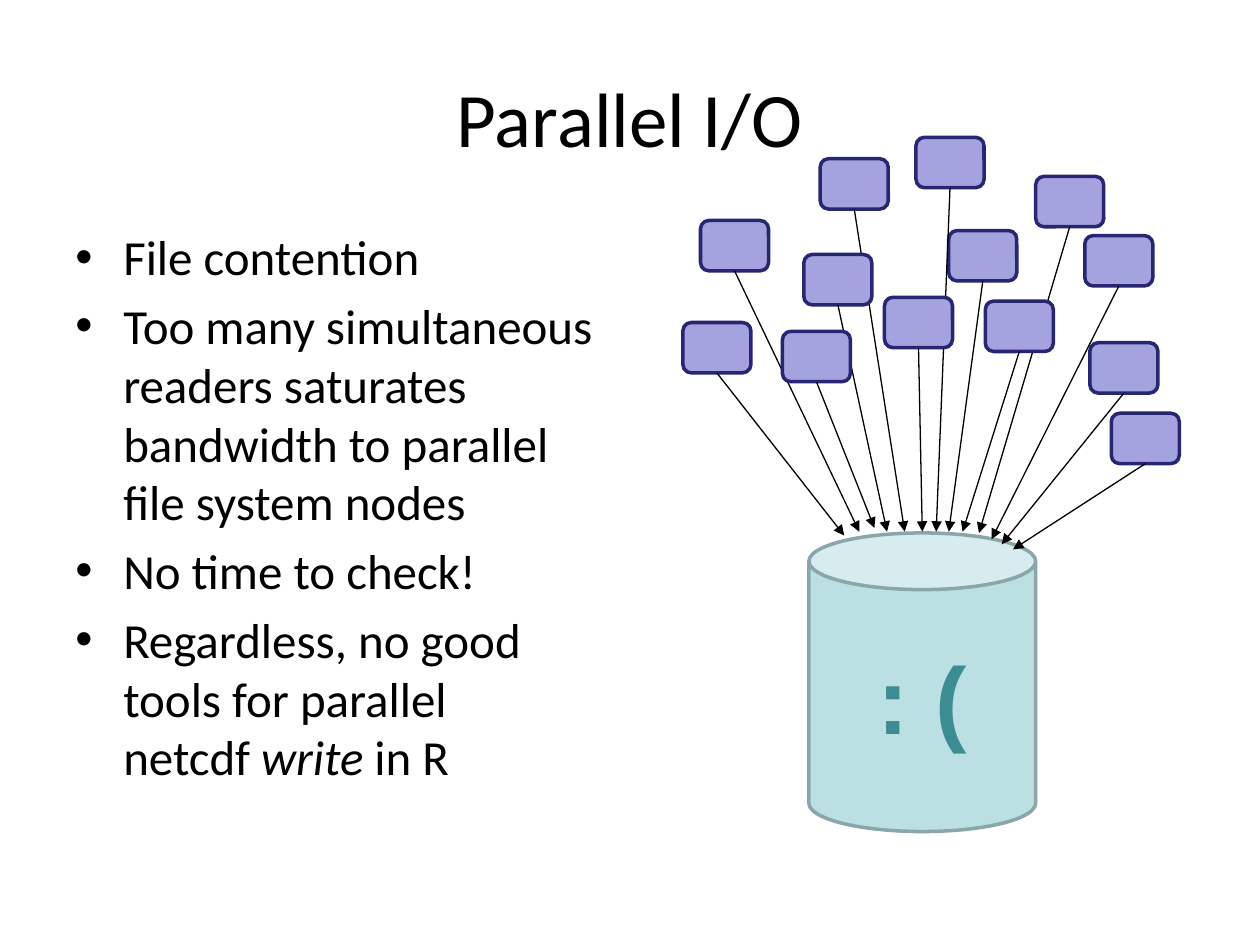
"""Build the Parallel I/O slide: bullets beside many readers crowding one file."""
from lxml import etree
from pptx import Presentation
from pptx import util as u
from pptx.dml.color import RGBColor
from pptx.enum import shapes, text
from pptx.oxml.ns import qn

PX = 9144
COLORS = {"ink": "000000", "node": "A3A3E0", "node_edge": "262673",
          "disk": "BBE0E3", "disk_edge": "8AA6A8", "face": "3C8C93"}
NODE_W, NODE_H = 54, 40


def add_span(para, words, size=28, font="Calibri", color="ink", bold=False, italic=False):
    span = para.add_run()
    span.text = words
    span.font.size = u.Pt(size)
    span.font.name = font
    span.font.bold = bold
    span.font.italic = italic
    span.font.color.rgb = RGBColor.from_string(COLORS[color])


def add_solid(page, kind, bounds, fill="node", edge="node_edge"):
    solid = page.shapes.add_shape(kind, *(n * PX for n in bounds))
    solid.shadow.inherit = False
    solid.fill.solid()
    solid.fill.fore_color.rgb = RGBColor.from_string(COLORS[fill])
    solid.line.color.rgb = RGBColor.from_string(COLORS[edge])
    solid.line.width = u.Pt(2)
    return solid


deck = Presentation()
deck.slide_width, deck.slide_height = 1000 * PX, 750 * PX
page = deck.slides.add_slide(deck.slide_layouts[5])

title = page.shapes.title
title.left, title.top, title.width, title.height = (n * PX for n in (50, 30, 900, 125))
title.text_frame.vertical_anchor = text.MSO_ANCHOR.MIDDLE
title.text_frame.paragraphs[0].alignment = text.PP_ALIGN.CENTER
add_span(title.text_frame.paragraphs[0], "Parallel I/O", size=44)

bullets = [
    [("File contention", False)],
    [("Too many simultaneous readers saturates bandwidth to parallel file system nodes", False)],
    [("No time to check!", False)],
    [("Regardless, no good tools for parallel ", False), ("\n", False),
     ("netcdf ", False), ("write", True), (" in R", False)],
]
box = page.shapes.add_textbox(*(n * PX for n in (50, 175, 442, 495)))
box.text_frame.word_wrap = True
for index, spans in enumerate(bullets):
    para = box.text_frame.paragraphs[0] if index == 0 else box.text_frame.add_paragraph()
    props = para._p.get_or_add_pPr()
    props.set("marL", str(38 * PX))
    props.set("indent", str(-38 * PX))
    etree.SubElement(props, qn("a:buFont"), typeface="Arial")
    etree.SubElement(props, qn("a:buChar"), char="•")
    if index:
        para.space_before = u.Pt(5.6)
    for words, italic in spans:
        if words == "\n":
            para.add_line_break()
        else:
            add_span(para, words, italic=italic)

disk = add_solid(page, shapes.MSO_SHAPE.CAN, (642, 423, 180, 237), "disk", "disk_edge")
disk.text_frame.vertical_anchor = text.MSO_ANCHOR.MIDDLE
disk.text_frame.paragraphs[0].alignment = text.PP_ALIGN.CENTER
add_span(disk.text_frame.paragraphs[0], ": (", size=54, font="Arial", color="face", bold=True)

readers = [
    ((556, 175), (682, 422)), ((651, 126), (718, 422)), ((822, 140), (777, 423)),
    ((861, 187), (787, 428)), ((638, 202), (704, 422)), ((753, 183), (753, 422)),
    ((782, 239), (764, 422)), ((727, 109), (743, 422)), ((865, 272), (795, 432)),
    ((882, 328), (804, 436)), ((542, 256), (670, 425)), ((702, 236), (732, 422)),
    ((621, 263), (694, 419)),
]
for (left, top), (tip_x, tip_y) in readers:
    node = add_solid(page, shapes.MSO_SHAPE.ROUNDED_RECTANGLE, (left, top, NODE_W, NODE_H))
    arrow = page.shapes.add_connector(
        shapes.MSO_CONNECTOR.STRAIGHT, (left + NODE_W // 2) * PX, (top + NODE_H) * PX,
        tip_x * PX, tip_y * PX)
    arrow.begin_connect(node, 2)
    arrow.line.color.rgb = RGBColor.from_string(COLORS["ink"])
    arrow.line.width = u.Pt(0.75)
    etree.SubElement(arrow.line._get_or_add_ln(), qn("a:tailEnd"), type="triangle")
    etree.SubElement(arrow._element.spPr, qn("a:effectLst"))

deck.save("out.pptx")
